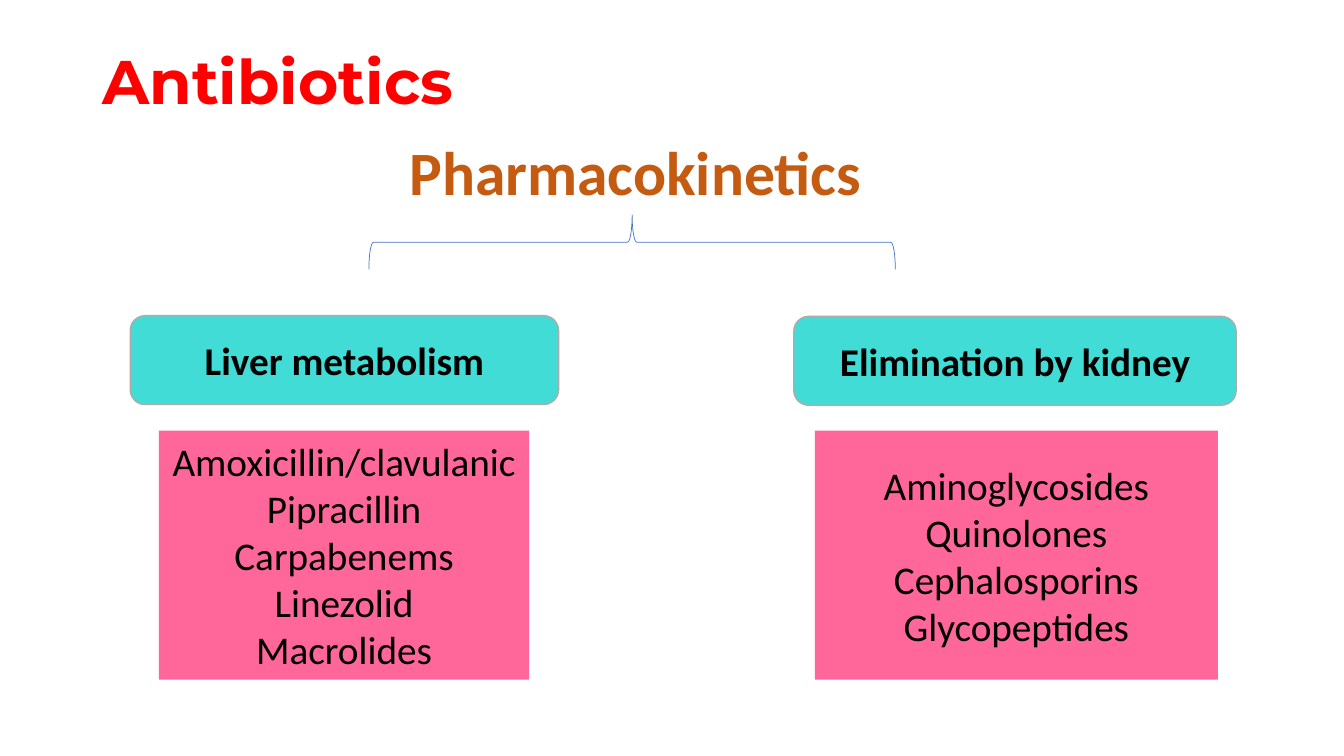
from dataclasses import dataclass

from pptx import Presentation
from pptx.dml.color import RGBColor
from pptx.enum.shapes import MSO_SHAPE as Shape
from pptx.enum.text import MSO_ANCHOR as Anchor, PP_ALIGN as Align
from pptx.util import Pt


@dataclass(frozen=True)
class Theme:
    """Hold the colours, fonts and type sizes of the slide."""
    title: str = "FF0000"
    subtitle: str = "C55A11"
    ink: str = "000000"
    heading_fill: str = "40DCD5"
    heading_line: str = "AFABAB"
    list_fill: str = "FF6699"
    brace: str = "4472C4"
    title_font: str = "Montserrat"
    body_font: str = "Calibri"
    title_size: float = 44
    body_size: float = 28


def write_text(frame, text, *, font, size, color, bold=False,
               align=Align.CENTER, anchor=Anchor.MIDDLE, spacing=1.0):
    """Fill a text frame with one paragraph per line of text."""
    frame.word_wrap = True
    frame.vertical_anchor = anchor
    for index, line in enumerate(text.split("\n")):
        paragraph = frame.add_paragraph() if index else frame.paragraphs[0]
        paragraph.text = line
        paragraph.alignment = align
        paragraph.line_spacing = spacing
        paragraph.font.name = font
        paragraph.font.size = Pt(size)
        paragraph.font.bold = bold
        paragraph.font.color.rgb = RGBColor.from_string(color)


class SlideBuilder:
    """Draw themed elements on one slide."""

    def __init__(self, slide, theme):
        """Keep the slide and its theme."""
        self.slide = slide
        self.theme = theme

    def text(self, box, text, **style):
        """Add a display-size text box."""
        shape = self.slide.shapes.add_textbox(*map(Pt, box))
        write_text(shape.text_frame, text, size=self.theme.title_size,
                   bold=True, spacing=0.9, **style)

    def shape(self, kind, box, fill=None, line=None, line_width=1):
        """Add a preset shape with an optional fill and outline."""
        shape = self.slide.shapes.add_shape(kind, *map(Pt, box))
        shape.shadow.inherit = False
        if fill:
            shape.fill.solid()
            shape.fill.fore_color.rgb = RGBColor.from_string(fill)
        else:
            shape.fill.background()
        if line:
            shape.line.color.rgb = RGBColor.from_string(line)
            shape.line.width = Pt(line_width)
        else:
            shape.line.fill.background()
        return shape

    def card(self, kind, box, text, bold=False, **look):
        """Add a filled shape with centred body text."""
        shape = self.shape(kind, box, **look)
        write_text(shape.text_frame, text, font=self.theme.body_font,
                   size=self.theme.body_size, color=self.theme.ink, bold=bold)

    def branch(self, heading, heading_box, drugs, drugs_box):
        """Add a heading with its list of drugs."""
        self.card(Shape.ROUNDED_RECTANGLE, heading_box, heading, bold=True,
                  fill=self.theme.heading_fill, line=self.theme.heading_line)
        self.card(Shape.RECTANGLE, drugs_box, "\n".join(drugs),
                  fill=self.theme.list_fill)

    def brace(self, box):
        """Add a brace that opens downwards."""
        shape = self.shape(Shape.LEFT_BRACE, box, line=self.theme.brace,
                           line_width=0.5)
        shape.rotation = 90


def main():
    """Build and save the antibiotics slide."""
    presentation = Presentation()
    presentation.slide_width, presentation.slide_height = Pt(960), Pt(540)
    slide = presentation.slides.add_slide(presentation.slide_layouts[6])
    theme = Theme()
    builder = SlideBuilder(slide, theme)

    builder.text((66, 29, 828, 63), "Antibiotics", font=theme.title_font,
                 color=theme.title, align=Align.LEFT)
    builder.text((76, 98, 756, 302), "Pharmacokinetics", font=theme.body_font,
                 color=theme.subtitle, anchor=Anchor.TOP)
    builder.branch(
        "Liver metabolism", (93, 225.5, 306, 63.5),
        ["Amoxicillin/clavulanic", "Pipracillin", "Carpabenems", "Linezolid",
         "Macrolides"], (113.5, 307.5, 264.5, 178))
    builder.branch(
        "Elimination by kidney", (567, 226, 316, 63.5),
        ["Aminoglycosides", "Quinolones", "Cephalosporins", "Glycopeptides"],
        (582, 307.5, 288, 178))
    builder.brace((432, -15, 39, 376))

    presentation.save("out.pptx")


if __name__ == "__main__":
    main()
